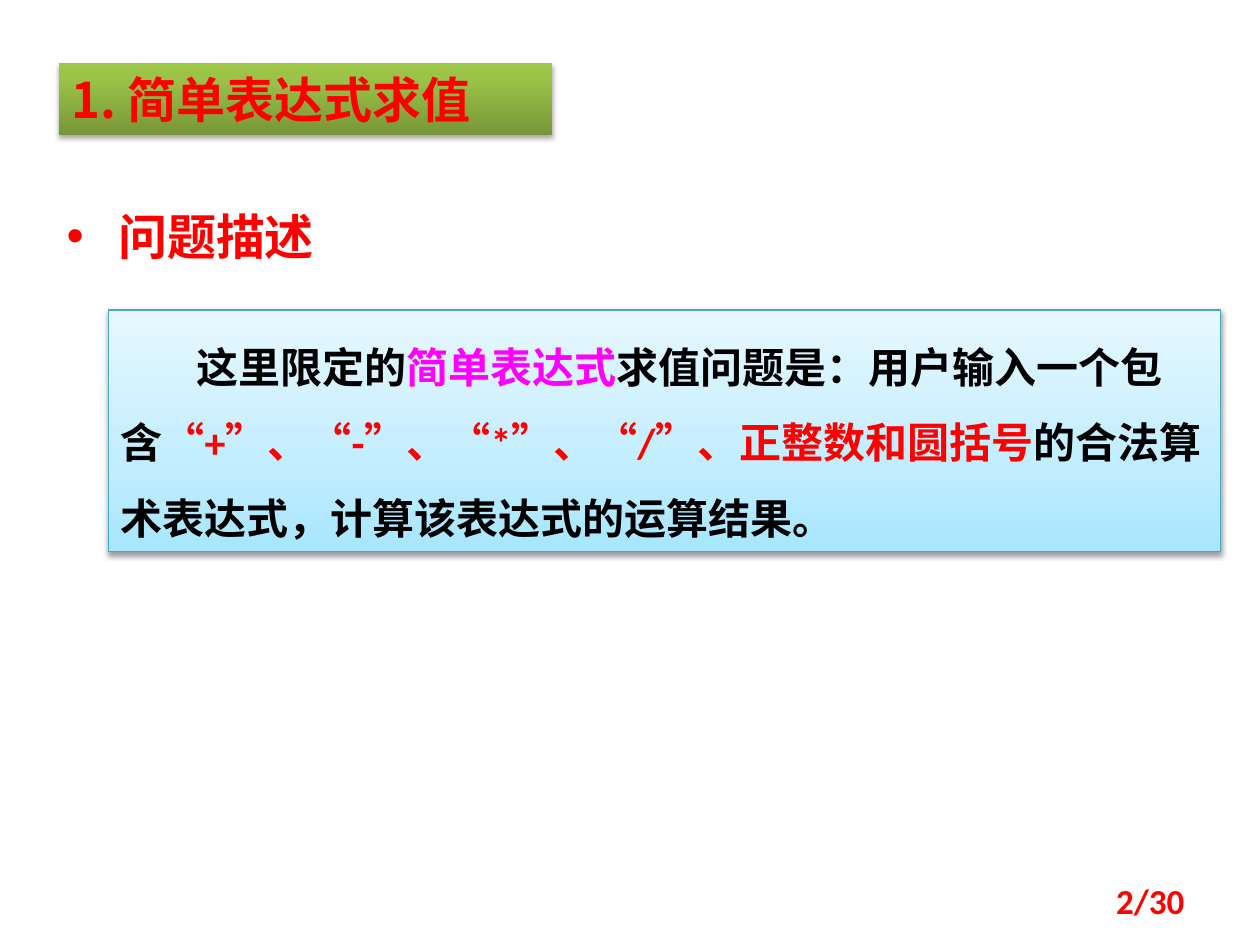
from typing import NamedTuple

from lxml.etree import SubElement
from pptx import Presentation
from pptx.enum.shapes import MSO_SHAPE
from pptx.enum.text import MSO_ANCHOR, PP_ALIGN
from pptx.oxml.ns import qn
from pptx.dml.color import RGBColor
from pptx.util import Inches, Pt

COLORS = {"red": "FF0000", "black": "000000", "magenta": "FF00FF", "teal": "46AAC5"}
CJK = "Noto Sans CJK SC"
LATIN = "Calibri"


class Box(NamedTuple):
    left: float
    top: float
    width: float
    height: float


class Span(NamedTuple):
    text: str
    color: str = "red"


class Panel(NamedTuple):
    box: Box
    stops: list[tuple[int, str]]
    shadow_alpha: int
    shadow_distance: float
    border: str | None = None


HEADING = Panel(Box(0.47, 0.5, 3.91, 0.57),
                [(0, "779737"), (80, "9BC348"), (100, "9DC746")], 35, 1.8)
PROBLEM = Panel(Box(0.86, 2.46, 8.83, 1.92),
                [(0, "A7E6FF"), (35, "C1EDFF"), (100, "E7F8FF")], 38, 1.6, "teal")
PROBLEM_SPANS = [
    Span("这里限定的", "black"),
    Span("简单表达式", "magenta"),
    Span("求值问题是：用户输入一个包含", "black"),
    Span("“+”、“-”、“*”、“/”、正整数和圆括号"),
    Span("的合法算术表达式，计算该表达式的运算结果。", "black"),
]


def add_color(parent, hex_color: str):
    """Append an RGB colour element and return it."""
    return SubElement(parent, qn("a:srgbClr"), val=hex_color)


def place(box: Box) -> list[int]:
    """Convert a box to slide lengths."""
    return [Inches(value) for value in box]


def add_panel(slide, panel: Panel):
    """Draw a rectangle with an upward gradient and a soft shadow below."""
    shape = slide.shapes.add_shape(MSO_SHAPE.RECTANGLE, *place(panel.box))
    shape.fill.gradient()
    shape.fill.gradient_angle = 90
    properties = shape.element.spPr
    stop_list = properties.find(".//" + qn("a:gsLst"))
    for stop in list(stop_list):
        stop_list.remove(stop)
    for percent, color in panel.stops:
        add_color(SubElement(stop_list, qn("a:gs"), pos=str(percent * 1000)), color)
    if panel.border:
        shape.line.color.rgb = RGBColor.from_string(COLORS[panel.border])
        shape.line.width = Pt(0.75)
    else:
        shape.line.fill.background()
    shape.shadow.inherit = False
    shadow = SubElement(properties.find(qn("a:effectLst")), qn("a:outerShdw"),
                        blurRad=str(Pt(3.1)), dist=str(Pt(panel.shadow_distance)),
                        dir="5400000", rotWithShape="0")
    SubElement(add_color(shadow, COLORS["black"]), qn("a:alpha"),
               val=str(panel.shadow_alpha * 1000))
    return shape


def write(shape, spans: list[Span], size: int, font: str,
          align: PP_ALIGN = PP_ALIGN.LEFT, anchor: MSO_ANCHOR = MSO_ANCHOR.TOP):
    """Fill a shape with one bold paragraph of coloured spans and return it."""
    frame = shape.text_frame
    frame.word_wrap = True
    frame.vertical_anchor = anchor
    paragraph = frame.paragraphs[0]
    paragraph.alignment = align
    for span in spans:
        run = paragraph.add_run()
        run.text = span.text
        run.font.size = Pt(size)
        run.font.bold = True
        run.font.color.rgb = RGBColor.from_string(COLORS[span.color])
        run.font.name = font
        SubElement(run.font._element, qn("a:ea"), typeface=CJK)
    return paragraph


def indent(paragraph, margin: float, first_line: float) -> None:
    """Set the left margin and the first-line indent of a paragraph."""
    properties = paragraph._p.get_or_add_pPr()
    properties.set("marL", str(Inches(margin)))
    properties.set("indent", str(Inches(first_line)))


def main() -> None:
    """Build the slide and save it."""
    presentation = Presentation()
    presentation.slide_width = Inches(10)
    presentation.slide_height = Inches(7.5)
    slide = presentation.slides.add_slide(presentation.slide_layouts[6])

    topic = slide.shapes.add_textbox(*place(Box(0.43, 1.59, 2.69, 0.57)))
    bullet_item = write(topic, [Span("问题描述")], 28, CJK)
    indent(bullet_item, 0.41, -0.41)
    bullet_properties = bullet_item._p.get_or_add_pPr()
    SubElement(bullet_properties, qn("a:buFont"), typeface="Arial")
    SubElement(bullet_properties, qn("a:buChar"), char="•")

    write(add_panel(slide, HEADING), [Span("1. 简单表达式求值")], 28, CJK)

    statement = write(add_panel(slide, PROBLEM), PROBLEM_SPANS, 24, LATIN)
    statement.line_spacing = 1.5
    indent(statement, 0, 0.6)

    page_number = slide.shapes.add_textbox(*place(Box(7.17, 6.95, 2.33, 0.4)))
    write(page_number, [Span("2/30")], 20, LATIN, PP_ALIGN.RIGHT, MSO_ANCHOR.MIDDLE)

    presentation.save("out.pptx")


if __name__ == "__main__":
    main()
